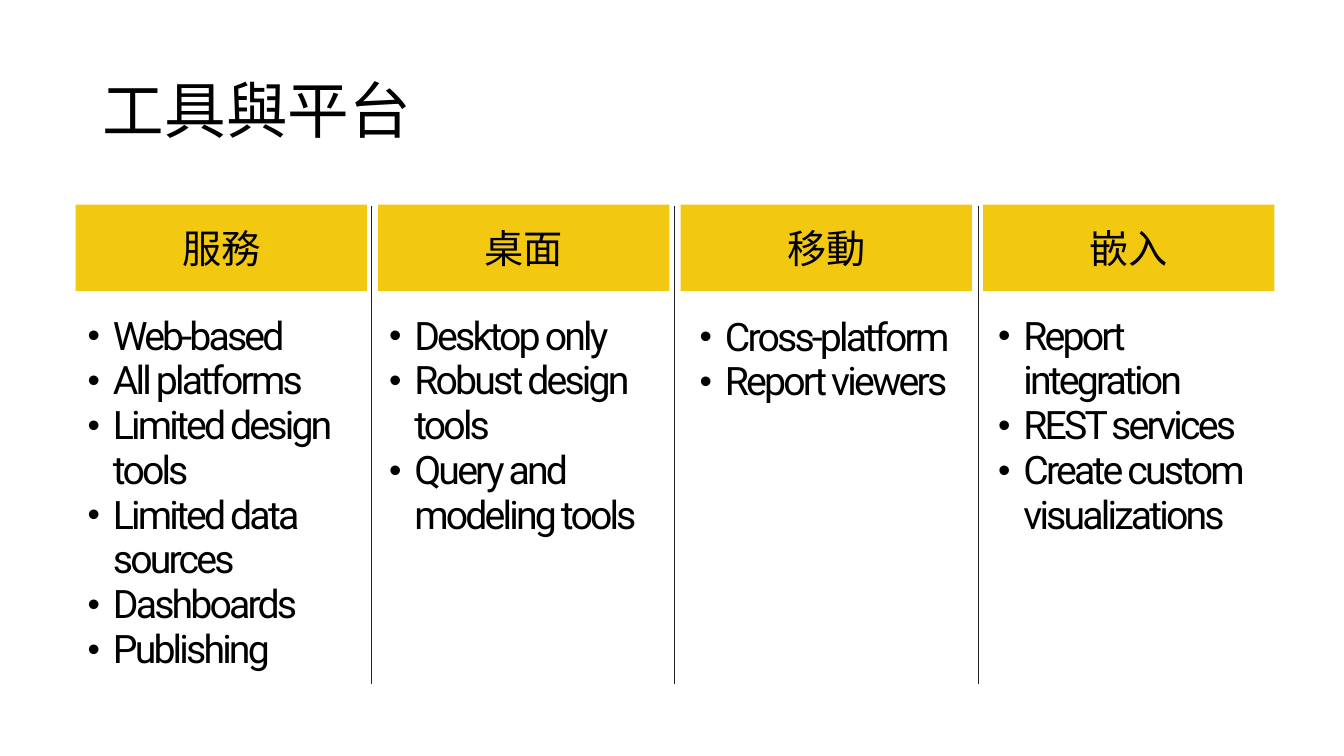
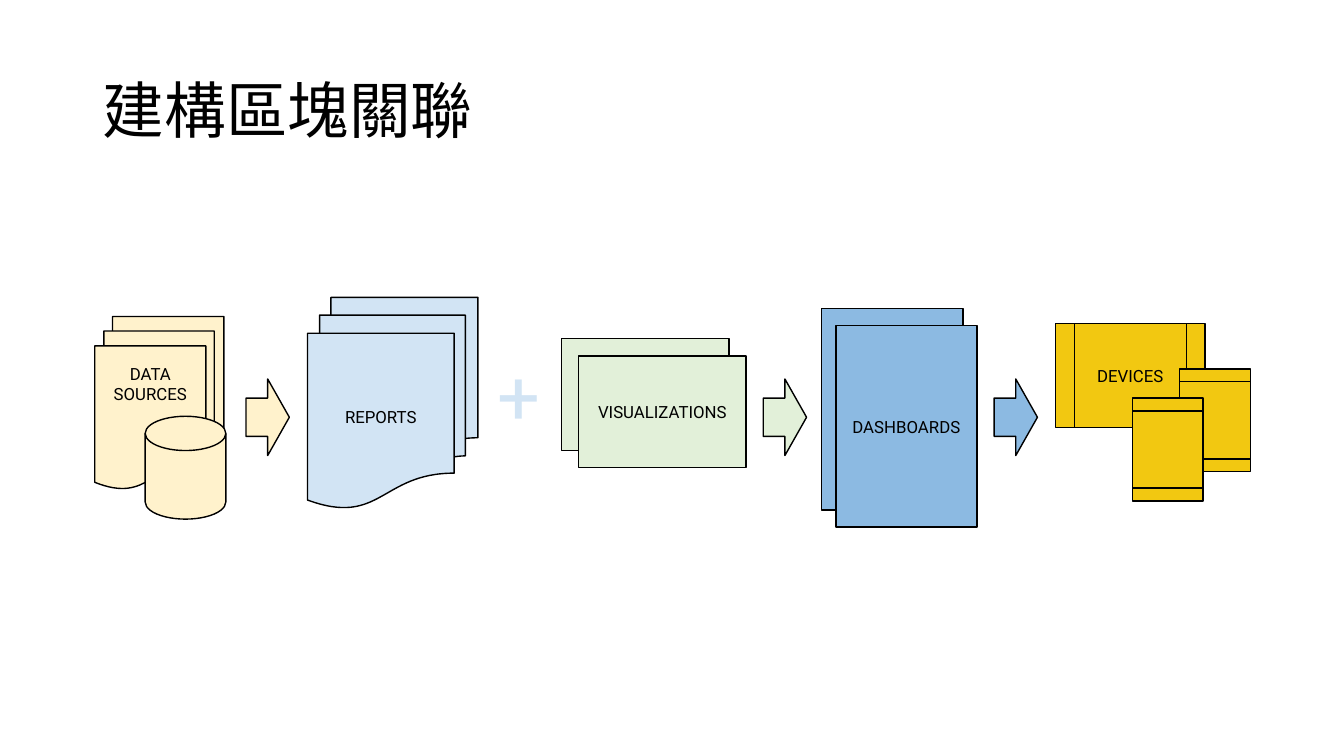
from dataclasses import dataclass
from typing import Optional

from lxml import etree
from pptx import Presentation
from pptx import util as u
from pptx.dml import color
from pptx.enum import shapes, text
from pptx.oxml import ns

COLORS = {
    "ink": "000000",
    "rule": "212121",
    "gold": "F2C811",
    "cream": "FFF2CC",
    "sky": "D2E4F4",
    "mint": "E2F0D9",
    "blue": "8CBAE2",
}
FONT = "Roboto"
RECT = shapes.MSO_SHAPE.RECTANGLE
DOCUMENTS = shapes.MSO_SHAPE.FLOWCHART_MULTIDOCUMENT
DISK = shapes.MSO_SHAPE.FLOWCHART_MAGNETIC_DISK
SCREEN = shapes.MSO_SHAPE.FLOWCHART_PREDEFINED_PROCESS
ARROW = shapes.MSO_SHAPE.RIGHT_ARROW


@dataclass(frozen=True)
class Box:
    left: float
    top: float
    width: float
    height: float

    def lengths(self) -> tuple:
        return tuple(u.Inches(v) for v in (self.left, self.top, self.width, self.height))


@dataclass(frozen=True)
class Platform:
    heading: str
    list_box: Box
    features: tuple


@dataclass(frozen=True)
class Piece:
    kind: int
    box: Box
    label: str = ""
    rotation: int = 0
    label_drop: Optional[float] = None


@dataclass(frozen=True)
class Stage:
    fill: str
    pieces: tuple


PLATFORMS = (
    Platform("服務", Box(0.77, 3.07, 2.82, 3.68), (
        "Web-based", "All platforms", "Limited design tools",
        "Limited data sources", "Dashboards", "Publishing")),
    Platform("桌面", Box(3.76, 3.07, 2.82, 3.3), (
        "Desktop only", "Robust design tools", "Query and modeling tools")),
    Platform("移動", Box(6.84, 3.08, 2.74, 1.38), (
        "Cross-platform", "Report viewers")),
    Platform("嵌入", Box(9.8, 3.07, 2.86, 2.72), (
        "Report integration", "REST services", "Create custom visualizations")),
)

STAGES = (
    Stage("cream", (
        Piece(DOCUMENTS, Box(0.94, 3.14, 1.28, 1.71), "DATA SOURCES", label_drop=0.18),
        Piece(DISK, Box(1.44, 4.13, 0.8, 1.02)))),
    Stage("sky", (
        Piece(DOCUMENTS, Box(3.05, 2.95, 1.69, 2.09), "REPORTS"),)),
    Stage("mint", (
        Piece(RECT, Box(5.57, 3.36, 1.66, 1.11)),
        Piece(RECT, Box(5.74, 3.53, 1.66, 1.11), "VISUALIZATIONS"))),
    Stage("blue", (
        Piece(RECT, Box(8.15, 3.06, 1.4, 2)),
        Piece(RECT, Box(8.29, 3.23, 1.4, 2), "DASHBOARDS"))),
    Stage("gold", (
        Piece(SCREEN, Box(10.47, 3.21, 1.48, 1.03), "DEVICES"),
        Piece(SCREEN, Box(11.54, 3.82, 1.02, 0.7), rotation=90),
        Piece(SCREEN, Box(11.07, 4.11, 1.02, 0.7), rotation=90))),
)
FLOW_ARROWS = (("cream", 2.44), ("mint", 7.57), ("blue", 9.86))


def rgb(name: str) -> color.RGBColor:
    return color.RGBColor.from_string(COLORS[name])


def style_text(frame, size: float, align, ink: str = "ink", tracking: float = 0) -> None:
    for paragraph in frame.paragraphs:
        paragraph.alignment = align
        for run in paragraph.runs:
            run.font.name = FONT
            run.font.size = u.Pt(size)
            run.font.bold = False
            run.font.color.rgb = rgb(ink)
            if tracking:
                run._r.get_or_add_rPr().set("spc", str(round(tracking * 100)))


def place(target, box: Box) -> None:
    target.left, target.top, target.width, target.height = box.lengths()


def add_titled_slide(deck, layout_index: int, heading: str):
    slide = deck.slides.add_slide(deck.slide_layouts[layout_index])
    title = slide.shapes.title
    place(title, Box(0.92, 0.4, 11.5, 1.45))
    frame = title.text_frame
    frame.text = heading
    frame.auto_size = text.MSO_AUTO_SIZE.NONE
    frame.vertical_anchor = text.MSO_ANCHOR.MIDDLE
    frame.paragraphs[0].line_spacing = 0.9
    style_text(frame, 44, text.PP_ALIGN.LEFT)
    return slide


def add_block(parent, piece: Piece, fill: str, size: float = 12, outlined: bool = True):
    block = parent.add_shape(piece.kind, *piece.box.lengths())
    block.rotation = piece.rotation
    block.shadow.inherit = False
    block.fill.solid()
    block.fill.fore_color.rgb = rgb(fill)
    if outlined:
        block.line.color.rgb = rgb("ink")
        block.line.width = u.Pt(1)
    else:
        block.line.fill.background()
    if piece.label:
        frame = block.text_frame
        frame.text = piece.label
        frame.word_wrap = True
        frame.vertical_anchor = text.MSO_ANCHOR.MIDDLE
        if piece.label_drop is not None:
            frame.vertical_anchor = text.MSO_ANCHOR.TOP
            frame.margin_top = u.Inches(piece.label_drop)
        style_text(frame, size, text.PP_ALIGN.CENTER)
    return block


def add_separator(slide, x: float, top: float, bottom: float) -> None:
    separator = slide.shapes.add_connector(
        shapes.MSO_CONNECTOR.STRAIGHT,
        u.Inches(x), u.Inches(top), u.Inches(x), u.Inches(bottom))
    separator.line.color.rgb = rgb("rule")
    separator.line.width = u.Pt(0.5)
    etree.SubElement(separator._element.spPr, ns.qn("a:effectLst"))


def fill_feature_list(body, platform: Platform) -> None:
    place(body, platform.list_box)
    frame = body.text_frame
    frame.text = "\n".join(platform.features)
    frame.word_wrap = True
    frame.auto_size = text.MSO_AUTO_SIZE.NONE
    frame.vertical_anchor = text.MSO_ANCHOR.TOP
    style_text(frame, 28, text.PP_ALIGN.LEFT, tracking=-2)
    for paragraph in frame.paragraphs:
        paragraph.line_spacing = 0.95
        paragraph.space_before = u.Pt(0)
        properties = paragraph._p.get_or_add_pPr()
        properties.set("marL", str(u.Inches(0.25)))
        properties.set("indent", str(u.Inches(-0.25)))
        for tag, key, value in (("a:buSzPct", "val", "90000"),
                                ("a:buFont", "typeface", "Arial"),
                                ("a:buChar", "char", "•")):
            etree.SubElement(properties, ns.qn(tag)).set(key, value)


def build_platforms(deck) -> None:
    slide = add_titled_slide(deck, 4, "工具與平台")
    for column, platform in enumerate(PLATFORMS):
        header = Piece(RECT, Box(0.75 + 3 * column, 2.03, 2.89, 0.86), platform.heading)
        add_block(slide.shapes, header, "gold", size=28, outlined=False)
        fill_feature_list(slide.placeholders[column + 1], platform)
        if column:
            add_separator(slide, 0.67 + 3.01 * column, 2.04, 6.79)


def build_relations(deck) -> None:
    slide = add_titled_slide(deck, 5, "建構區塊關聯")
    for stage in STAGES:
        grouped = len(stage.pieces) > 1
        parent = slide.shapes.add_group_shape().shapes if grouped else slide.shapes
        for piece in stage.pieces:
            add_block(parent, piece, stage.fill)
    for fill, left in FLOW_ARROWS:
        add_block(slide.shapes, Piece(ARROW, Box(left, 3.76, 0.43, 0.76)), fill)
    plus = slide.shapes.add_textbox(*Box(4.79, 3.41, 0.72, 1.01).lengths())
    plus.text_frame.text = "+"
    plus.text_frame.word_wrap = False
    style_text(plus.text_frame, 54, text.PP_ALIGN.CENTER, ink="sky")


def main() -> None:
    deck = Presentation()
    deck.slide_width = u.Inches(13.33)
    deck.slide_height = u.Inches(7.5)
    build_platforms(deck)
    build_relations(deck)
    deck.save("out.pptx")


if __name__ == "__main__":
    main()
